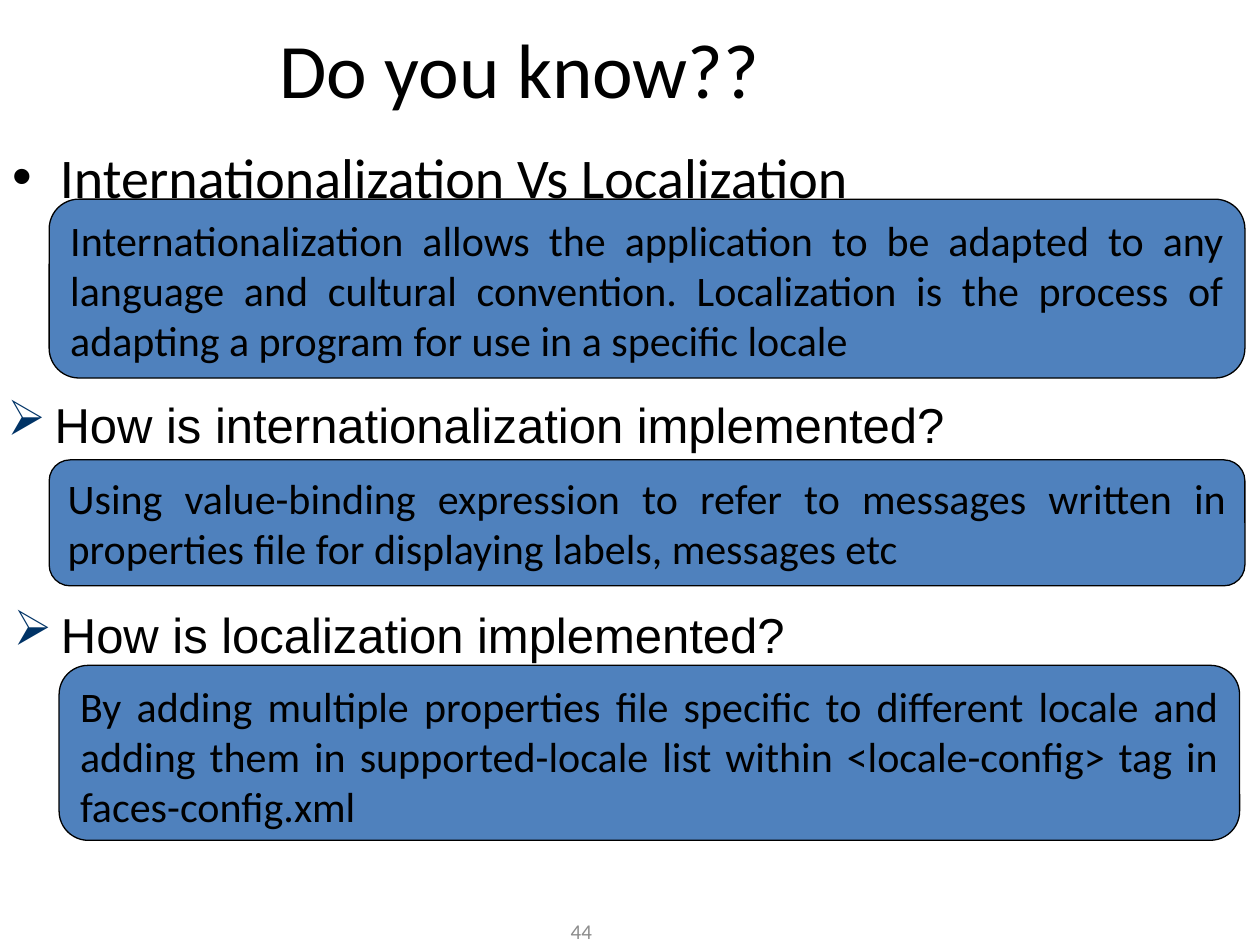
"""Build the quiz slide on internationalization and localization."""
from dataclasses import dataclass

from lxml import etree
from pptx import Presentation
from pptx import util as u
from pptx.dml.color import RGBColor
from pptx.enum import shapes, text
from pptx.oxml.ns import qn

BLACK, BLUE, NAVY, GREY = "000000", "4F81BD", "003366", "8C8C8C"
JUSTIFY = text.PP_ALIGN.JUSTIFY
INDENT = 27


@dataclass(frozen=True)
class Area:
    """Hold a position and size in points."""
    left: float
    top: float
    width: float
    height: float

    def lengths(self) -> tuple:
        """Return the four values as slide lengths."""
        return tuple(u.Pt(v) for v in (self.left, self.top, self.width, self.height))


@dataclass(frozen=True)
class Answer:
    """Describe a rounded answer box."""
    area: Area
    words: str


@dataclass(frozen=True)
class Question:
    """Describe a question with an arrow bullet."""
    area: Area
    words: str


ITEMS = (
    Answer(Area(28.1, 113.8, 683.3, 102.2),
           "Internationalization allows the application to be adapted to any language and cultural "
           "convention. Localization is the process of adapting a program for use in a specific locale"),
    Question(Area(0.7, 342, 711.4, 149.8), "How is localization implemented?"),
    Answer(Area(33.8, 380.2, 674.6, 100),
           "By adding multiple properties file specific to different locale and adding them in "
           "supported-locale list within <locale-config> tag in faces-config.xml"),
    Question(Area(-2.9, 221.8, 719.3, 120.2), "How is internationalization implemented?"),
    Answer(Area(28.1, 262.8, 683.3, 72),
           "Using value-binding expression to refer to messages written in properties file "
           "for displaying labels, messages etc"),
)


def paint(target, color: str) -> None:
    """Set a font or fill to a solid hex colour."""
    fill = getattr(target, "fill", target)
    fill.solid()
    fill.fore_color.rgb = RGBColor.from_string(color)


def write(box, words: str, *, size: float, font: str = "Calibri", color: str = BLACK,
          align=JUSTIFY, anchor=text.MSO_ANCHOR.TOP):
    """Put one formatted paragraph in a box and return it."""
    frame = box.text_frame
    frame.word_wrap = True
    frame.auto_size = text.MSO_AUTO_SIZE.NONE
    frame.vertical_anchor = anchor
    para = frame.paragraphs[0]
    para.alignment = align
    span = para.add_run()
    span.text = words
    span.font.size = u.Pt(size)
    span.font.name = font
    paint(span.font, color)
    return para


def place(box, area: Area) -> None:
    """Move and resize a box."""
    box.left, box.top, box.width, box.height = area.lengths()


def add_arrow_bullet(para) -> None:
    """Give a paragraph a hanging arrow bullet."""
    props = para._p.get_or_add_pPr()
    props.set("marL", str(u.Pt(INDENT)))
    props.set("indent", str(u.Pt(-INDENT)))
    bullet_color = etree.SubElement(props, qn("a:buClr"))
    etree.SubElement(bullet_color, qn("a:srgbClr"), val=NAVY)
    etree.SubElement(props, qn("a:buChar"), char="➢")


def draw_question(page, question: Question) -> None:
    """Draw a bulleted question."""
    box = page.shapes.add_textbox(*question.area.lengths())
    para = write(box, question.words, size=28, font="Arial")
    para.space_before = u.Pt(5.6)
    add_arrow_bullet(para)


def draw_answer(page, answer: Answer) -> None:
    """Draw a rounded box with an answer."""
    box = page.shapes.add_shape(shapes.MSO_SHAPE.ROUNDED_RECTANGLE, *answer.area.lengths())
    box.shadow.inherit = False
    paint(box, BLUE)
    paint(box.line, BLACK)
    box.line.width = u.Pt(0.75)
    write(box, answer.words, size=24)


def main() -> None:
    """Build and save the deck."""
    deck = Presentation()
    deck.slide_width, deck.slide_height = u.Pt(720), u.Pt(540)
    page = deck.slides.add_slide(deck.slide_layouts[1])
    middle = text.MSO_ANCHOR.MIDDLE

    title, body = page.placeholders
    place(title, Area(3.6, 0.7, 586.8, 76.3))
    write(title, "Do you know??", size=44, align=text.PP_ALIGN.CENTER, anchor=middle)
    place(body, Area(0, 77.8, 719.3, 131.8))
    write(body, "Internationalization Vs Localization", size=32)

    number = page.shapes.add_textbox(*Area(319, 513.4, 61.2, 37.4).lengths())
    write(number, "44", size=12, color=GREY, align=text.PP_ALIGN.LEFT, anchor=middle)

    for item in ITEMS:
        if isinstance(item, Question):
            draw_question(page, item)
        else:
            draw_answer(page, item)
    deck.save("out.pptx")


if __name__ == "__main__":
    main()
